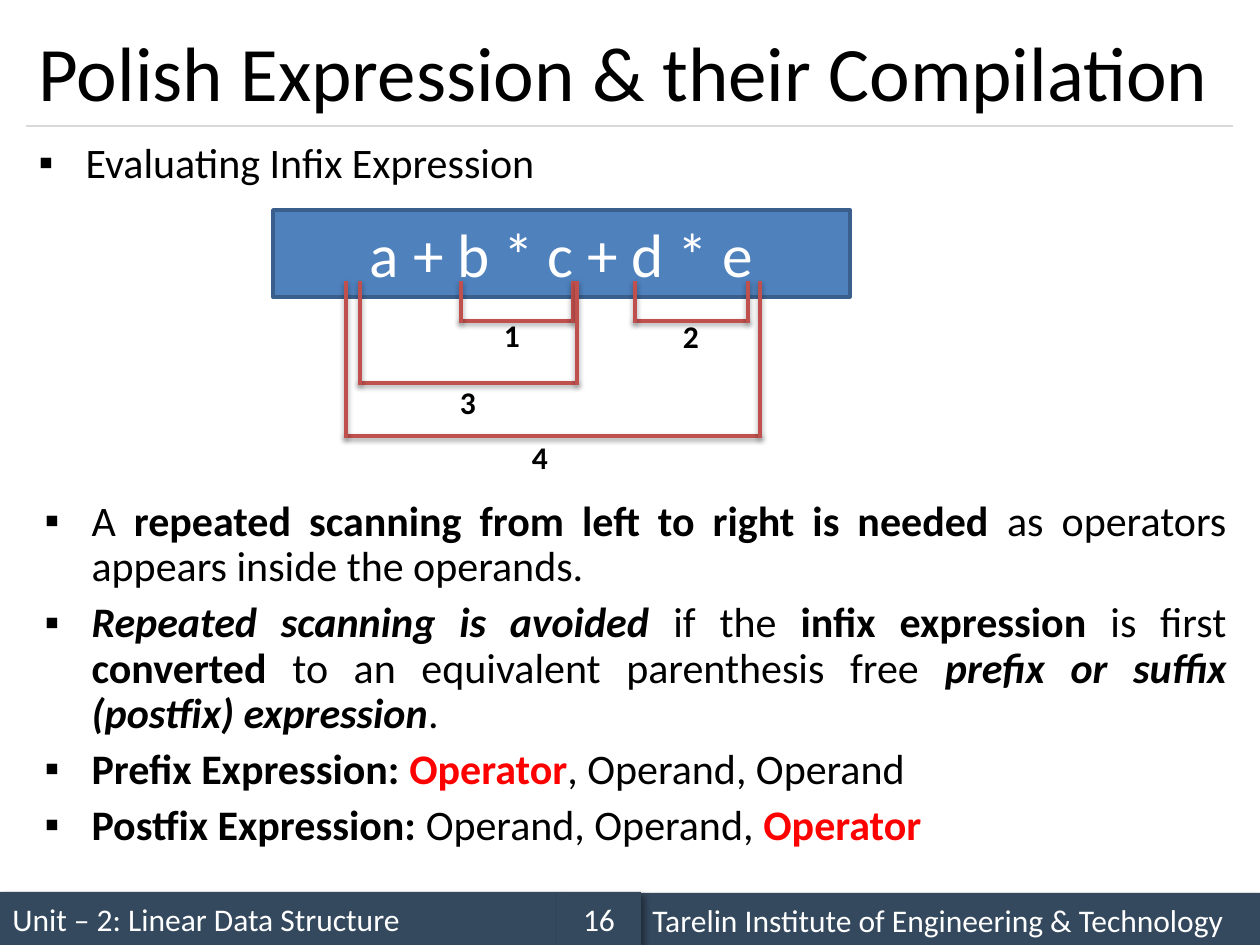
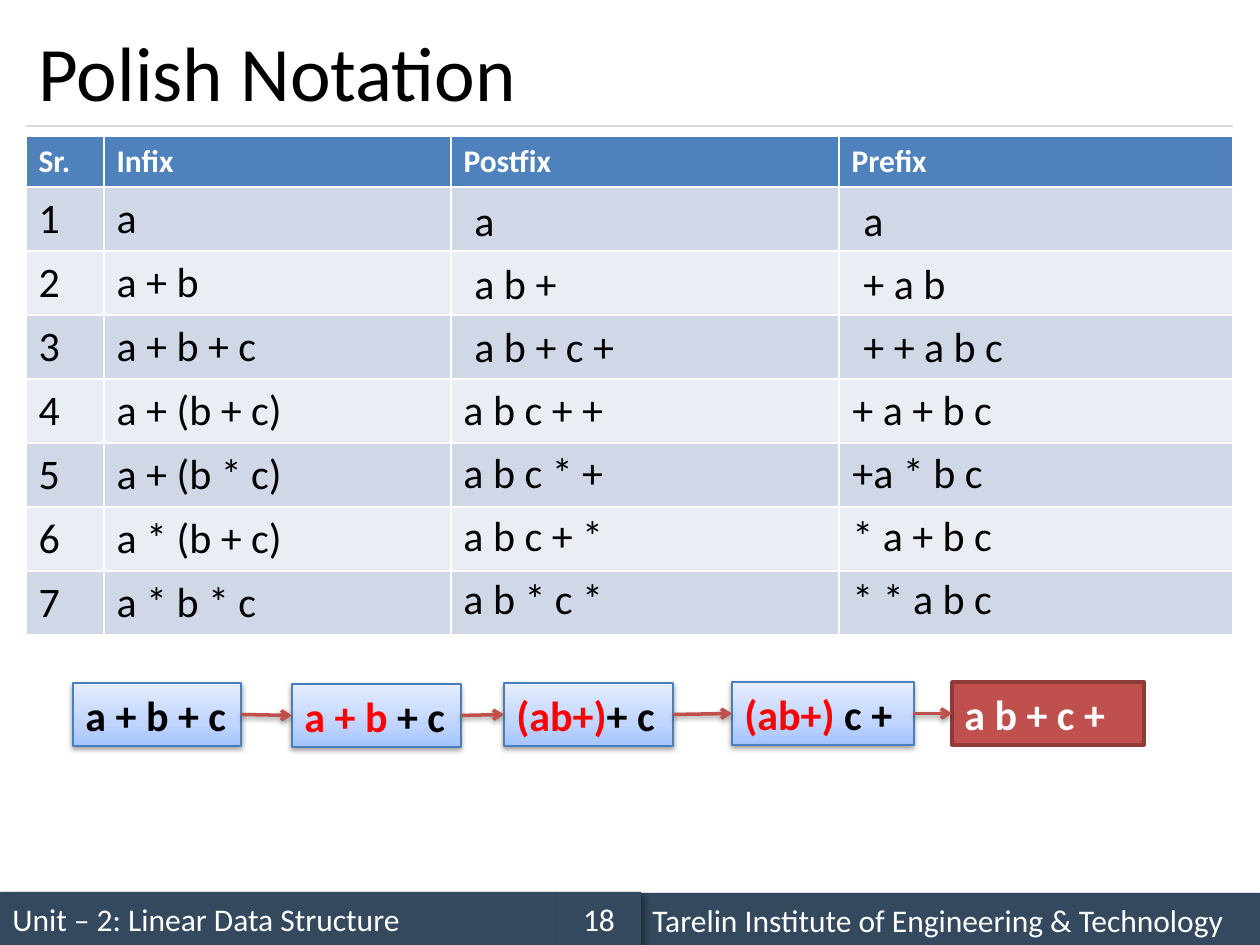
from dataclasses import dataclass
from itertools import pairwise
from typing import NamedTuple

from lxml.etree import SubElement
from pptx import Presentation
from pptx.dml.color import RGBColor
from pptx.enum.shapes import MSO_CONNECTOR, MSO_SHAPE
from pptx.enum.text import MSO_ANCHOR, MSO_AUTO_SIZE, PP_ALIGN
from pptx.oxml.ns import qn
from pptx.util import Emu, Pt


@dataclass(frozen=True)
class Theme:
    font: str = "Calibri"
    black: str = "000000"
    white: str = "FFFFFF"
    red: str = "FF0000"
    band: str = "34495E"
    rule: str = "D9D9D9"
    blue: str = "4F81BD"
    blue_edge: str = "3A5F8C"
    step_edge: str = "4B7EBC"
    brick: str = "C0504D"
    brick_edge: str = "8E3B39"
    row_fills: tuple = ("D0D8E8", "E9EDF4")
    step_gradient: tuple = ((0, "A4C4FF"), (35, "BFD4FF"), (100, "E6EEFF"))
    title_size: int = 44
    expression_size: int = 35
    body_size: int = 24
    small_size: int = 18


class Run(NamedTuple):
    text: str
    bold: bool = False
    italic: bool = False
    color: str = "000000"


class Box(NamedTuple):
    left: int
    top: int
    width: int
    height: int


class Shadow(NamedTuple):
    opacity: int
    blur: float
    distance: float
    angle: int


class Bracket(NamedTuple):
    label: str
    left: int
    right: int
    base: int
    label_left: int
    label_top: int


class Step(NamedTuple):
    box: Box
    runs: list


THEME = Theme()
BAND_SHADOW = Shadow(40, 4, 3, 45)
SOFT_SHADOW = Shadow(38, 3.1, 1.6, 90)
MARGIN, CONTENT_WIDTH = 26, 1207
BRACKET_TOP = 281


def px(length: int) -> Emu:
    return Emu(round(length * 914400 / 126))


def rgb(color: str) -> RGBColor:
    return RGBColor.from_string(color)


def place(shape, box: Box) -> None:
    shape.left, shape.top, shape.width, shape.height = map(px, box)


def write(paragraph, runs: list, size: int, align=PP_ALIGN.LEFT) -> None:
    paragraph.alignment = align
    for item in runs:
        run = paragraph.add_run()
        run.text = item.text
        font = run.font
        font.name, font.size = THEME.font, Pt(size)
        font.bold, font.italic = item.bold, item.italic
        font.color.rgb = rgb(item.color)


def add_shadow(shape, shadow: Shadow) -> None:
    properties = shape.element.spPr
    effects = properties.find(qn("a:effectLst"))
    if effects is None:
        effects = SubElement(properties, qn("a:effectLst"))
    outer = SubElement(effects, qn("a:outerShdw"), blurRad=str(Pt(shadow.blur)),
                       dist=str(Pt(shadow.distance)), dir=str(shadow.angle * 60000), rotWithShape="0")
    color = SubElement(outer, qn("a:srgbClr"), val=THEME.black)
    SubElement(color, qn("a:alpha"), val=str(shadow.opacity * 1000))


def add_line(shapes, start: tuple, end: tuple, color: str, width: float):
    line = shapes.add_connector(MSO_CONNECTOR.STRAIGHT, *map(px, start + end))
    line.line.color.rgb = rgb(color)
    line.line.width = Pt(width)
    SubElement(line.element.spPr, qn("a:effectLst"))
    return line


def add_red_line(shapes, start: tuple, end: tuple):
    line = add_line(shapes, start, end, THEME.brick, 2)
    add_shadow(line, SOFT_SHADOW)
    return line


def add_rectangle(slide, box: Box, runs: list, size: int, fill: str = "", edge: str = "",
                  edge_width: float = 2, align=PP_ALIGN.LEFT, anchor=MSO_ANCHOR.TOP):
    """Draw a text rectangle; without a fill colour it gets the step gradient."""
    shape = slide.shapes.add_shape(MSO_SHAPE.RECTANGLE, *map(px, box))
    shape.shadow.inherit = False
    if fill:
        shape.fill.solid()
        shape.fill.fore_color.rgb = rgb(fill)
    else:
        shape.fill.gradient()
        shape.fill.gradient_angle = 90
        stops = shape.element.spPr.find(".//" + qn("a:gsLst"))
        stops.clear()
        for position, color in THEME.step_gradient:
            stop = SubElement(stops, qn("a:gs"), pos=str(position * 1000))
            SubElement(stop, qn("a:srgbClr"), val=color)
    if edge:
        shape.line.color.rgb = rgb(edge)
        shape.line.width = Pt(edge_width)
    else:
        shape.line.fill.background()
    shape.text_frame.word_wrap = True
    shape.text_frame.vertical_anchor = anchor
    write(shape.text_frame.paragraphs[0], runs, size, align)
    return shape


def add_text(slide, box: Box, run: Run, size: int):
    shape = slide.shapes.add_textbox(*map(px, box))
    shape.text_frame.word_wrap = True
    write(shape.text_frame.paragraphs[0], [run], size)
    return shape


def fill_bullets(placeholder, box: Box, paragraphs: list) -> None:
    place(placeholder, box)
    frame = placeholder.text_frame
    frame.auto_size = MSO_AUTO_SIZE.NONE
    for index, runs in enumerate(paragraphs):
        paragraph = frame.add_paragraph() if index else frame.paragraphs[0]
        write(paragraph, runs, THEME.body_size, PP_ALIGN.JUSTIFY)
        paragraph.line_spacing, paragraph.space_before = 0.9, Pt(6)
        properties = paragraph._p.get_or_add_pPr()
        properties.set("marL", str(px(47)))
        properties.set("indent", str(-px(47)))
        SubElement(properties, qn("a:buChar"), char="▪")


def add_slide(presentation, layout: int, title: str, number: str):
    """Start a slide with the shared title, rule and footer bands."""
    slide = presentation.slides.add_slide(presentation.slide_layouts[layout])
    heading = slide.shapes.title
    place(heading, Box(MARGIN, 15, CONTENT_WIDTH, 111))
    heading.text_frame.auto_size = MSO_AUTO_SIZE.NONE
    heading.text_frame.vertical_anchor = MSO_ANCHOR.MIDDLE
    write(heading.text_frame.paragraphs[0], [Run(title)], THEME.title_size)
    add_line(slide.shapes, (MARGIN, 126), (MARGIN + CONTENT_WIDTH, 126), THEME.rule, 0.75)
    bands = [
        (Box(0, 892, 557, 53), "Unit – 2: Linear Data Structure", PP_ALIGN.LEFT),
        (Box(640, 893, 620, 53), "Tarelin Institute of Engineering & Technology", PP_ALIGN.LEFT),
        (Box(557, 892, 84, 53), number, PP_ALIGN.CENTER),
    ]
    for box, text, align in bands:
        band = add_rectangle(slide, box, [Run(text, color=THEME.white)], THEME.small_size,
                             THEME.band, align=align, anchor=MSO_ANCHOR.MIDDLE)
        add_shadow(band, BAND_SHADOW)
    return slide


def add_bracket(slide, bracket: Bracket) -> None:
    lines = slide.shapes.add_group_shape().shapes
    add_red_line(lines, (bracket.left - 2, bracket.base), (bracket.right + 2, bracket.base))
    for side in (bracket.right, bracket.left):
        add_red_line(lines, (side, bracket.base + 2), (side, BRACKET_TOP))
    label = add_text(slide, Box(bracket.label_left, bracket.label_top, 26, 50),
                     Run(bracket.label, True), THEME.small_size)
    label.text_frame.margin_left, label.text_frame.margin_right = px(8), 0


def build_expression_slide(presentation) -> None:
    slide = add_slide(presentation, 3, "Polish Expression & their Compilation", "16")
    fill_bullets(slide.placeholders[1], Box(MARGIN, 136, CONTENT_WIDTH, 63),
                 [[Run("Evaluating Infix Expression")]])

    # Infix expression with its evaluation order
    add_rectangle(slide, Box(273, 210, 577, 87), [Run("a + b * c + d * e", color=THEME.white)],
                  THEME.expression_size, THEME.blue, THEME.blue_edge, align=PP_ALIGN.CENTER)
    for bracket in (
        Bracket("1", 461, 573, 321, 496, 310),
        Bracket("2", 635, 748, 321, 675, 311),
        Bracket("3", 360, 577, 383, 452, 377),
        Bracket("4", 346, 760, 436, 524, 432),
    ):
        add_bracket(slide, bracket)

    # Conclusions
    operator = Run("Operator", True, color=THEME.red)
    fill_bullets(slide.placeholders[2], Box(32, 494, CONTENT_WIDTH, 378), [
        [Run("A "), Run("repeated scanning from left to right is needed ", True),
         Run("as operators appears inside the operands.")],
        [Run("Repeated scanning is avoided ", True, True), Run("if the "),
         Run("infix expression ", True), Run("is first "), Run("converted", True),
         Run(" to an equivalent parenthesis free "),
         Run("prefix or suffix (postfix) expression", True, True), Run(".")],
        [Run("Prefix Expression: ", True), operator, Run(", Operand, Operand")],
        [Run("Postfix Expression: ", True), Run("Operand, Operand, "), operator],
    ])


def add_notation_table(slide, headers: list, notations: list) -> None:
    table = slide.shapes.add_table(len(notations) + 1, len(headers), px(MARGIN), px(136),
                                   px(CONTENT_WIDTH), px(499)).table
    for column, width in zip(table.columns, (78, 347, 388, 394)):
        column.width = px(width)
    for index, row in enumerate(table.rows):
        row.height = px(64 if index else 51)
        if index:
            texts = [str(index), notations[index - 1][0]]
            fill, size, run = THEME.row_fills[(index - 1) % 2], THEME.body_size, Run("")
        else:
            texts, fill, size = headers, THEME.blue, THEME.small_size
            run = Run("", True, color=THEME.white)
        for cell in row.cells:
            cell.fill.solid()
            cell.fill.fore_color.rgb = rgb(fill)
        for cell, text in zip(row.cells, texts):
            write(cell.text_frame.paragraphs[0], [run._replace(text=text)], size)


def build_notation_slide(presentation) -> None:
    slide = add_slide(presentation, 5, "Polish Notation", "18")
    notations = [
        ("a", "a", "a"),
        ("a + b", "a b +", "+ a b"),
        ("a + b + c", "a b + c +", "+ + a b c"),
        ("a + (b + c)", "a b c + +", "+ a + b c"),
        ("a + (b * c)", "a b c * +", "+a * b c"),
        ("a * (b + c)", "a b c + *", "* a + b c"),
        ("a * b * c", "a b * c *", "* * a b c"),
    ]
    add_notation_table(slide, ["Sr.", "Infix", "Postfix", "Prefix"], notations)

    # Answers laid over the table
    for index, (_, postfix, prefix) in enumerate(notations):
        shift = 11 if index < 3 else 0
        for left, text in ((451, postfix), (840, prefix)):
            box = Box(left + shift, 188 + 63 * index, 346 if index else 53, 63)
            add_text(slide, box, Run(text), THEME.body_size)

    # Conversion steps joined by arrows
    steps = [
        Step(Box(73, 683, 168, 63), [Run("a + b + c", True)]),
        Step(Box(292, 684, 169, 63), [Run("a + b ", True, color=THEME.red), Run("+ c", True)]),
        Step(Box(504, 683, 169, 63), [Run("(ab+)", True, color=THEME.red), Run("+ c", True)]),
        Step(Box(732, 682, 182, 63), [Run("(ab+)", True, color=THEME.red), Run(" c +", True)]),
    ]
    shapes = []
    for step in steps:
        shape = add_rectangle(slide, step.box, step.runs, THEME.body_size,
                              edge=THEME.step_edge, edge_width=0.75)
        add_shadow(shape, SOFT_SHADOW)
        shapes.append(shape)
    shapes.append(add_rectangle(slide, Box(952, 682, 192, 63),
                                [Run("a b + c +", True, color=THEME.white)],
                                THEME.body_size, THEME.brick, THEME.brick_edge))
    for previous, following in pairwise(shapes):
        arrow = add_red_line(slide.shapes, (0, 0), (1, 1))
        arrow.begin_connect(previous, 3)
        arrow.end_connect(following, 1)
        SubElement(arrow.element.spPr.find(qn("a:ln")), qn("a:tailEnd"), type="arrow")


def main() -> None:
    presentation = Presentation()
    presentation.slide_width, presentation.slide_height = px(1260), px(945)
    build_expression_slide(presentation)
    build_notation_slide(presentation)
    presentation.save("out.pptx")


if __name__ == "__main__":
    main()
